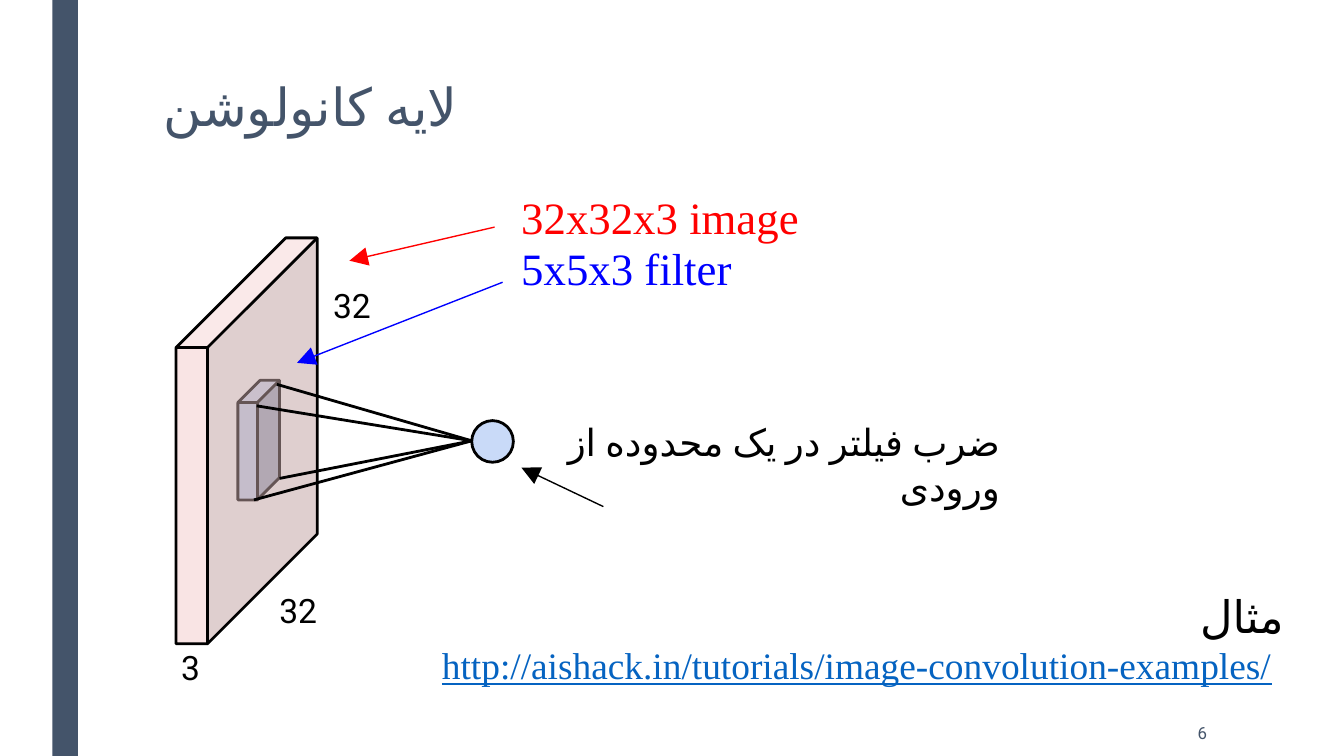
from dataclasses import dataclass

from lxml import etree
from pptx import Presentation
from pptx.dml.color import RGBColor
from pptx.enum.lang import MSO_LANGUAGE_ID
from pptx.enum.shapes import MSO_CONNECTOR, MSO_SHAPE
from pptx.enum.text import MSO_ANCHOR, PP_ALIGN
from pptx.oxml.ns import qn
from pptx.util import Inches, Pt

RECT, CUBE, OVAL = MSO_SHAPE.RECTANGLE, MSO_SHAPE.CUBE, MSO_SHAPE.OVAL
STRAIGHT = MSO_CONNECTOR.STRAIGHT
LEFT, RIGHT = PP_ALIGN.LEFT, PP_ALIGN.RIGHT
TOP, MIDDLE = MSO_ANCHOR.TOP, MSO_ANCHOR.MIDDLE
PERSIAN = MSO_LANGUAGE_ID.FARSI
COLUMNS = 100
WIDTH = Inches(10)
HEIGHT = WIDTH * 9 // 16
UNIT = WIDTH / COLUMNS


@dataclass(frozen=True)
class Theme:
    """Colours, fonts and sizes of the slide."""
    slate: str = "44546A"
    ink: str = "000000"
    volume: str = "F4CCCC"
    filter: str = "C9DAF8"
    red: str = "FF0000"
    blue: str = "0000FF"
    link: str = "0563C1"
    sans: str = "Roboto"
    serif: str = "Times New Roman"
    title: int = 28
    large: int = 24
    body: int = 20
    label: int = 18
    small: int = 9
    outline: float = 1.5
    thin: float = 0.75


THEME = Theme()


def place(box, x, y):
    """Turn grid columns and rows inside a box into slide lengths."""
    return round((box[0] + x) * UNIT), round((box[1] + y) * UNIT)


def add_solid(s, box, kind, area, fill, line=None, depth=None, alpha=None):
    """Add a filled preset shape."""
    x, y, w, h = area
    sp = s.shapes.add_shape(kind, *place(box, x, y), *place((0, 0), w, h))
    sp.shadow.inherit = False
    sp.fill.solid()
    sp.fill.fore_color.rgb = RGBColor.from_string(fill)
    if line:
        sp.line.color.rgb = RGBColor.from_string(line)
        sp.line.width = Pt(THEME.outline)
    else:
        sp.line.fill.background()
    if depth is not None:
        sp.adjustments[0] = depth
    if alpha is not None:
        color = sp.fill._xPr.find(".//" + qn("a:srgbClr"))
        etree.SubElement(color, qn("a:alpha"), val=str(alpha * 1000))


def add_line(s, box, start, end, color, width, arrow=False):
    """Add a straight line, with a large arrowhead at its end if asked."""
    c = s.shapes.add_connector(STRAIGHT, *place(box, *start), *place(box, *end))
    c.line.color.rgb = RGBColor.from_string(color)
    c.line.width = Pt(width)
    if arrow:
        etree.SubElement(c.line._get_or_add_ln(), qn("a:tailEnd"),
                         type="triangle", w="lg", len="lg")
    etree.SubElement(c._element.spPr, qn("a:effectLst"))


def style(p, size, color, font, align=LEFT, rtl=False, underline=False, lang=None):
    """Format a paragraph and its run."""
    p.alignment = align
    if rtl:
        p._p.get_or_add_pPr().set("rtl", "1")
    r = p.runs[0]
    r.font.size = Pt(size)
    r.font.name = font
    r.font.color.rgb = RGBColor.from_string(color)
    if underline:
        r.font.underline = True
    if lang:
        r.font.language_id = lang


def add_text(s, box, area, text, *looks, inset=0.1, wrap=True, anchor=TOP):
    """Add a text box with one look for each of its paragraphs."""
    x, y, w, h = area
    sp = s.shapes.add_textbox(*place(box, x, y), *place((0, 0), w, h))
    tf = sp.text_frame
    tf.word_wrap = wrap
    tf.vertical_anchor = anchor
    tf.margin_top = tf.margin_bottom = Inches(inset)
    tf.text = text
    for p, look in zip(tf.paragraphs, looks):
        style(p, **look)
    return tf


def add_frame(s, box):
    """Draw the side bar, title and page number."""
    t = THEME
    add_solid(s, box, RECT, (3.9, 0, 1.9, HEIGHT / UNIT), t.slate)
    tf = add_text(s, box, (11.2, 5.6, 78.8, 6.7), "لایه کانولوشن",
                  dict(size=t.title, color=t.slate, font=t.sans, lang=PERSIAN),
                  inset=0.05)
    tf.paragraphs[0].line_spacing = 0.89
    add_text(s, box, (77.7, 52.9, 13.1, 3.3), "6",
             dict(size=t.small, color=t.slate, font=t.sans, align=RIGHT),
             inset=0.05, anchor=MIDDLE)


def add_convolution(s, box):
    """Draw the input volume, its filter and the output neuron."""
    t = THEME
    add_solid(s, box, CUBE, (5.2, 10.6, 3.1, 8.9), t.filter, t.ink, 0.534)
    add_solid(s, box, CUBE, (0.6, 0, 10.5, 30.2), t.volume, t.ink, 0.777, 52)
    add_solid(s, box, OVAL, (22.6, 13.6, 3.1, 3.1), t.filter, t.ink)
    for corner in ((6.4, 19.5), (6.6, 12.5), (8.1, 10.9), (8.3, 17.9)):
        add_line(s, box, corner, (22.6, 15.1), t.ink, t.outline)
    look = dict(size=t.label, color=t.ink, font=t.sans)
    for x, y, text in ((7.3, 25.2, "32"), (11.3, 2.5, "32"), (0, 29.4, "3")):
        add_text(s, box, (x, y, 5.4, 3.2), text, look)


def add_callouts(s, box):
    """Name the image, the filter and the product, each with an arrow."""
    t = THEME
    add_text(s, box, (1.8, 0, 26.3, 6), "32x32x3 image",
             dict(size=t.large, color=t.red, font=t.serif))
    add_text(s, box, (1.8, 4.3, 17.8, 5), "5x5x3 filter",
             dict(size=t.large, color=t.blue, font=t.serif), inset=0.05, wrap=False)
    add_text(s, box, (2.3, 17.1, 37.1, 6.1), "ضرب فیلتر در یک محدوده از ورودی",
             dict(size=t.body, color=t.ink, font=t.sans, align=RIGHT, rtl=True,
                  lang=PERSIAN))
    for start, end, color in (((0.8, 3.8), (-10, 6.3), t.red),
                              ((1.4, 7.9), (-13.9, 13.9), t.blue),
                              ((8.9, 24.6), (2.8, 21.7), t.ink)):
        add_line(s, box, start, end, color, t.thin, arrow=True)


def add_example(s, box):
    """Write the example heading and its address."""
    t = THEME
    add_text(s, box, (0, 0, 64.6, 8.4),
             "مثال\nhttp://aishack.in/tutorials/image-convolution-examples/",
             dict(size=t.large, color=t.ink, font=t.sans, align=RIGHT, rtl=True,
                  lang=PERSIAN),
             dict(size=t.body, color=t.link, font=t.serif, underline=True),
             inset=0.05)


def main():
    """Build and save the slide."""
    prs = Presentation()
    prs.slide_width, prs.slide_height = WIDTH, HEIGHT
    s = prs.slides.add_slide(prs.slide_layouts[6])
    add_frame(s, (0, 0))
    add_convolution(s, (12.5, 17.7))
    add_callouts(s, (36, 13.1))
    add_example(s, (31.9, 43.3))
    prs.save("out.pptx")


if __name__ == "__main__":
    main()
